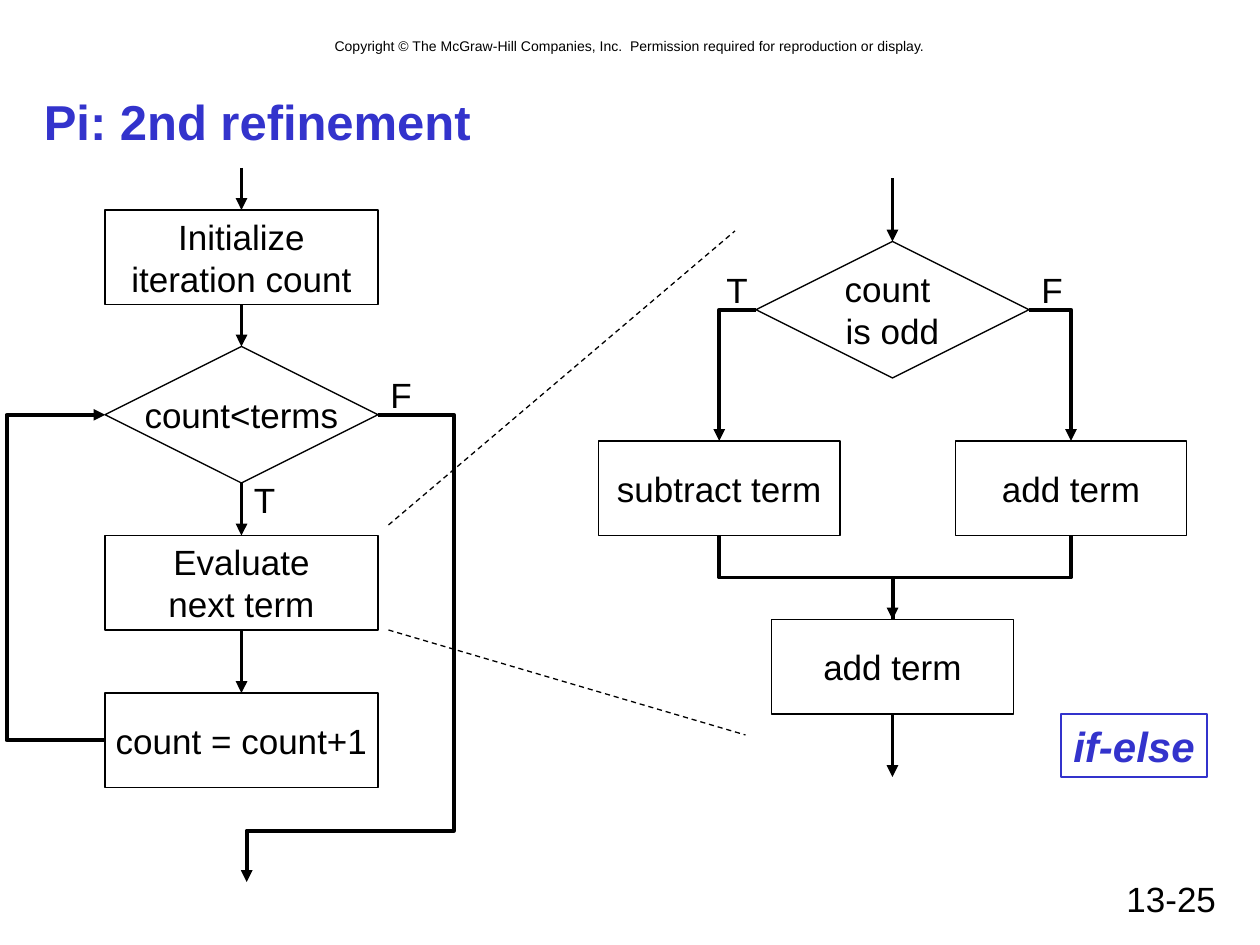
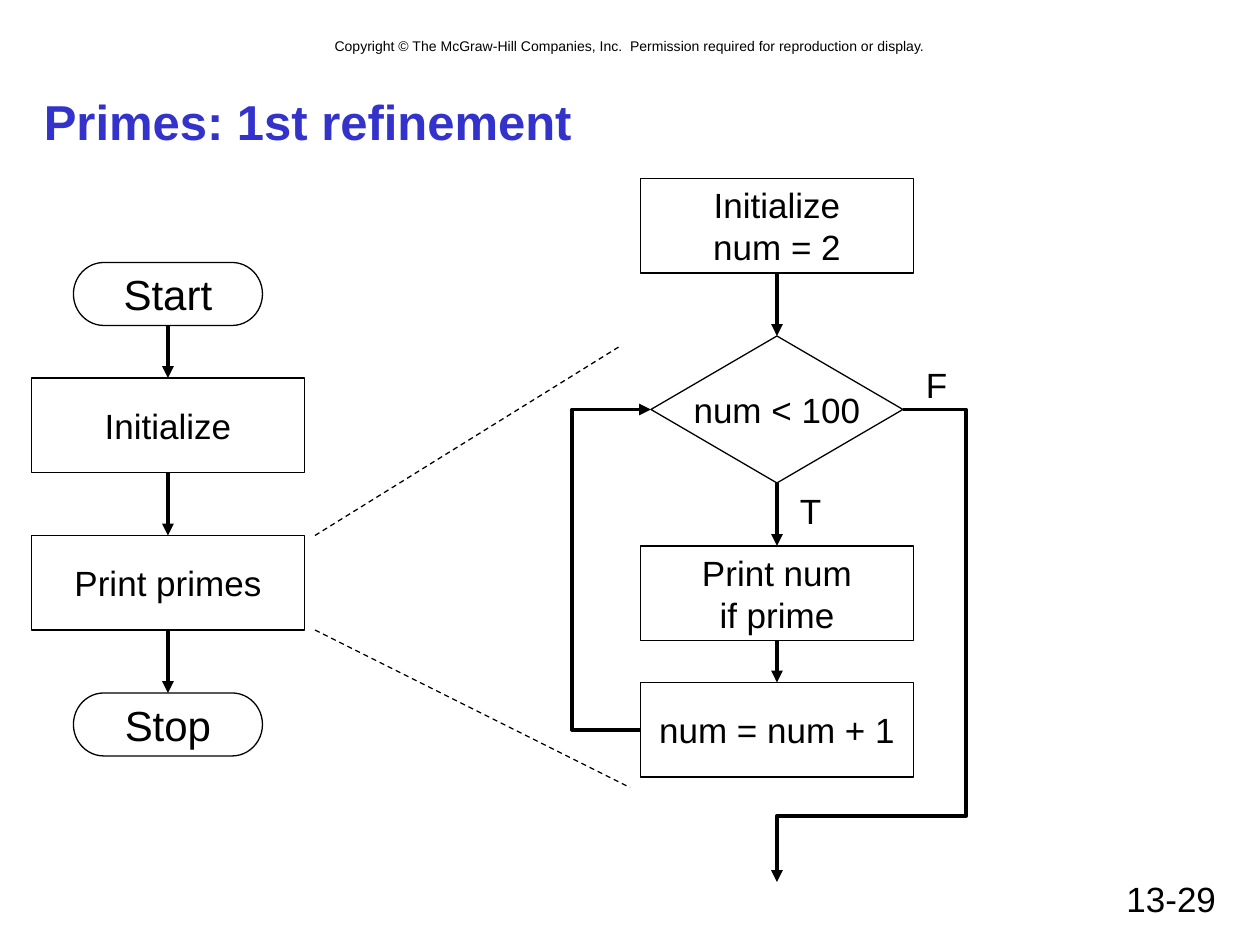
import lxml.etree
import pptx
import pptx.dml.color
import pptx.enum.dml
import pptx.enum.shapes
import pptx.enum.text
import pptx.oxml.ns
import pptx.util

INK, BLUE = "000000", "3333CC"
FONT = "Arial"
KIND = pptx.enum.shapes.MSO_SHAPE
LINK = pptx.enum.shapes.MSO_CONNECTOR
LEFT, MID, RIGHT = (pptx.enum.text.PP_ALIGN.LEFT, pptx.enum.text.PP_ALIGN.CENTER,
                    pptx.enum.text.PP_ALIGN.RIGHT)
tint = pptx.dml.color.RGBColor.from_string
tag = pptx.oxml.ns.qn

deck = pptx.Presentation()
deck.slide_width = pptx.util.Inches(10)
deck.slide_height = pptx.util.Inches(7.5)
UNIT = deck.slide_width / 120  # grid of 120 columns and 90 rows


def block(page, kind, area, text, size=20, hue=INK, align=MID, bold=False,
          slant=False, wrap=False, center=True):
    """Add a text box (kind None) or an outlined shape; area is in grid units."""
    spot = [round(n * UNIT) for n in area]
    if kind is None:
        item = page.shapes.add_textbox(*spot)
    else:
        item = page.shapes.add_shape(kind, *spot)
        item.shadow.inherit = False
        item.fill.background()
        item.line.color.rgb = tint(hue)
        item.line.width = pptx.util.Pt(0.75)
    frame = item.text_frame
    frame.text = text
    frame.word_wrap = wrap
    anchor = pptx.enum.text.MSO_ANCHOR
    frame.vertical_anchor = anchor.MIDDLE if center else anchor.TOP
    for para in frame.paragraphs:
        para.alignment = align
        for run in para.runs:
            run.font.name = FONT
            run.font.size = pptx.util.Pt(size)
            run.font.bold, run.font.italic = bold, slant
            run.font.color.rgb = tint(hue)


def wire(page, start, end, arrow=True, dash=False, bend=0, turn=0, flip="", shares=()):
    """Add a line, or an elbow of the given bend turned and flipped in its box."""
    ends = [round(n * UNIT) for n in start + end]
    item = page.shapes.add_connector(LINK.ELBOW if bend else LINK.STRAIGHT, *ends)
    item.line.color.rgb = tint(INK)
    item.line.width = pptx.util.Pt(0.75 if dash else 2.25)
    form = item._element.spPr
    if bend:
        shape = form.find(tag("a:prstGeom"))
        shape.set("prst", f"bentConnector{bend}")
        for rank, share in enumerate(shares, 1):
            lxml.etree.SubElement(shape.find(tag("a:avLst")), tag("a:gd"),
                                  name=f"adj{rank}", fmla=f"val {round(share * 100000)}")
        frame = form.find(tag("a:xfrm"))
        if turn:
            frame.set("rot", str(turn * 60000))
        if flip:
            frame.set(flip, "1")
    if dash:
        item.line.dash_style = pptx.enum.dml.MSO_LINE.DASH
    if arrow:
        lxml.etree.SubElement(item.line._get_or_add_ln(), tag("a:tailEnd"), type="triangle")
    lxml.etree.SubElement(form, tag("a:effectLst"))


# Parts shared by both slides
pages = []
for title, number in [("Pi: 2nd refinement", "13-25"), ("Primes: 1st refinement", "13-29")]:
    page = deck.slides.add_slide(deck.slide_layouts[6])
    block(page, None, (8, 3, 104, 2.9),
          "Copyright © The McGraw-Hill Companies, Inc.  Permission required for "
          "reproduction or display.", size=8, wrap=True, center=False)
    block(page, None, (86, 83, 31, 5), number, align=RIGHT, wrap=True, center=False)
    block(page, None, (3, 8, 114, 7), title, size=28, hue=BLUE, align=LEFT,
          bold=True, wrap=True)
    pages.append(page)
pi, primes = pages

# Pi: steps and tests
for kind, area, text in [
    (KIND.RECTANGLE, (10, 20, 26, 9), "Initialize\niteration count"),
    (KIND.FLOWCHART_DECISION, (10, 33, 26, 13), "count<terms"),
    (KIND.RECTANGLE, (10, 51, 26, 9), "Evaluate\nnext term"),
    (KIND.RECTANGLE, (10, 66, 26, 9), "count = count+1"),
    (KIND.FLOWCHART_DECISION, (72, 23, 26, 13), "count \vis odd"),
    (KIND.RECTANGLE, (57, 42, 23, 9), "subtract term"),
    (KIND.RECTANGLE, (91, 42, 22, 9), "add term"),
    (KIND.RECTANGLE, (73.5, 59, 23, 9), "add term"),
]:
    block(pi, kind, area, text)
block(pi, KIND.RECTANGLE, (101.06, 68, 13.9, 6), "if-else", size=24, hue=BLUE,
      bold=True, slant=True, center=False)

# Pi: loop, exit, branches and merge
wire(pi, (10, 39.5), (10.03, 70.5), bend=3, turn=180, flip="flipH", shares=[-330])
wire(pi, (23.5, 39.5), (36, 84), bend=4, flip="flipH", shares=[-0.58, 0.89])
wire(pi, (68.5, 29.5), (72, 42), bend=2, turn=180, flip="flipV")
wire(pi, (98, 29.5), (102, 42), bend=2)
wire(pi, (72.75, 46.75), (80.75, 63.25), bend=3, turn=270, flip="flipH", shares=[0.5])
wire(pi, (89.5, 46.5), (97.5, 63.5), arrow=False, bend=3, turn=90, shares=[0.5])

# Primes: steps and tests
for kind, area, text, size in [
    (KIND.FLOWCHART_TERMINATOR, (7, 25, 18, 6), "Start", 24),
    (KIND.FLOWCHART_TERMINATOR, (7, 66, 18, 6), "Stop", 24),
    (KIND.RECTANGLE, (3, 36, 26, 9), "Initialize", 20),
    (KIND.RECTANGLE, (3, 51, 26, 9), "Print primes", 20),
    (KIND.RECTANGLE, (61, 17, 26, 9), "Initialize\nnum = 2", 20),
    (KIND.FLOWCHART_DECISION, (62, 32, 24, 14), "num < 100", 20),
    (KIND.RECTANGLE, (61, 52, 26, 9), "Print num\vif prime", 20),
    (KIND.RECTANGLE, (61, 65, 26, 9), "num = num + 1", 20),
]:
    block(primes, kind, area, text, size)

# Primes: loop and exit
wire(primes, (61, 39), (62, 69.5), bend=3, turn=180, flip="flipH", shares=[-6.5])
wire(primes, (74, 39), (86, 84), bend=4, flip="flipH", shares=[-0.5, 0.86])

# Straight arrows as column, top, bottom
for page, col, top, low in [
    (pi, 23, 16, 20), (pi, 23, 29, 33), (pi, 23, 46, 51), (pi, 23, 60, 66),
    (pi, 85, 17, 23), (pi, 85, 68, 74),
    (primes, 16, 31, 36), (primes, 16, 45, 51), (primes, 16, 60, 66),
    (primes, 74, 26, 32), (primes, 74, 46, 52), (primes, 74, 61, 65),
]:
    wire(page, (col, top), (col, low))

# Branch labels and dashed zoom lines
for page, mark, col, row in [(pi, "F", 36, 35), (pi, "T", 23, 45), (pi, "F", 98, 25),
                             (pi, "T", 68, 25), (primes, "F", 87, 34),
                             (primes, "T", 75, 46)]:
    block(page, None, (col, row, 4.4, 5.3), mark, center=False)
for page, start, end in [(pi, (37, 50), (70, 22)), (pi, (37, 60), (71, 70)),
                         (primes, (30, 51), (59, 33)), (primes, (30, 60), (60, 75))]:
    wire(page, start, end, arrow=False, dash=True)

deck.save("out.pptx")
